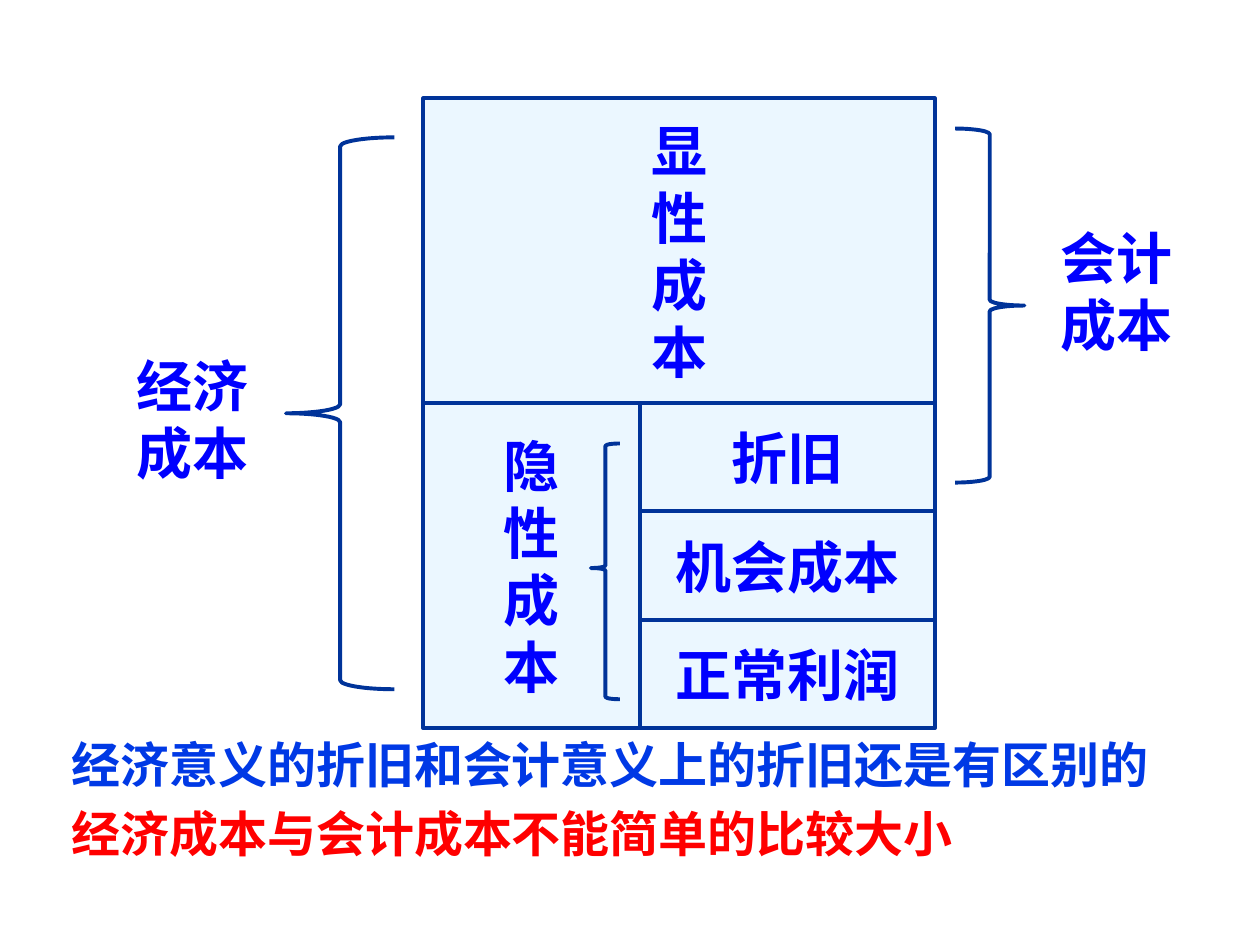
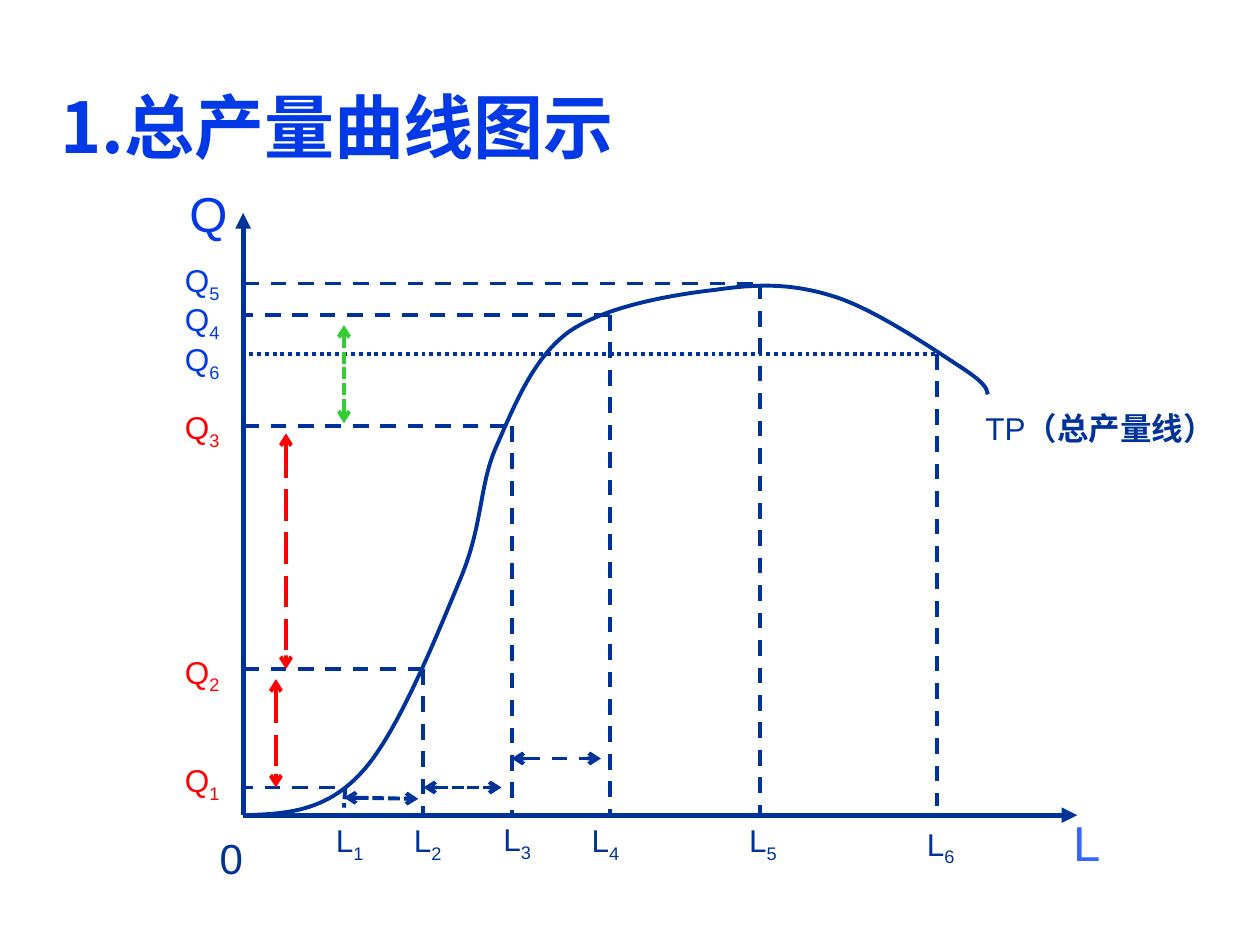
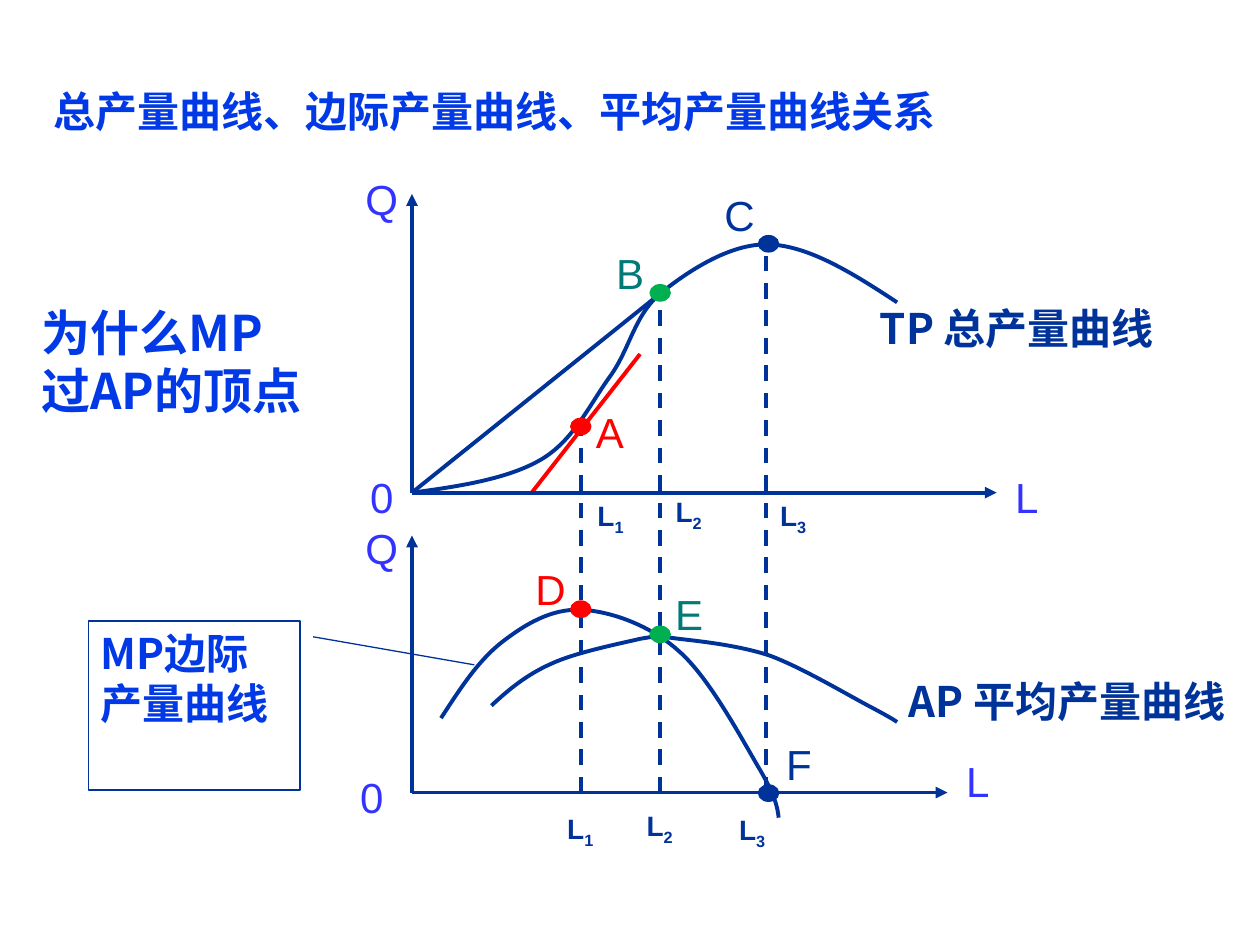
import pptx
import pptx.util
import pptx.dml.color
import pptx.enum.dml
import pptx.enum.shapes
import pptx.enum.text
import pptx.oxml.ns
import lxml.etree

Inches = pptx.util.Inches
Pt = pptx.util.Pt
SHAPES = pptx.enum.shapes.MSO_SHAPE
ALIGN = pptx.enum.text.PP_ALIGN
ANCHOR = pptx.enum.text.MSO_ANCHOR
DASHES = pptx.enum.dml.MSO_LINE

COLORS = {
    "navy": "003399", "text_blue": "0000FF", "title": "0039E5",
    "pale": "EBF7FF", "red": "FF0000", "green": "00B050",
    "arrow_green": "33CC33", "teal": "007A77", "axis_light": "3366FF",
    "axis_violet": "3333FF",
}
CJK = "Noto Sans CJK SC"
LATIN = "Arial"


# ---- Shared helpers ----
def rgb(name):
    return pptx.dml.color.RGBColor.from_string(COLORS[name])


def add_xml(parent, tag, **attributes):
    return lxml.etree.SubElement(parent, pptx.oxml.ns.qn(tag), attributes)


def write_text(shape, text, size=24, color="navy", font=LATIN, bold=False,
               align=ALIGN.CENTER, anchor=ANCHOR.MIDDLE, wrap=False):
    """Lines become paragraphs; what follows an underscore is a subscript."""
    frame = shape.text_frame
    frame.word_wrap = wrap
    frame.vertical_anchor = anchor
    if not wrap:
        frame.margin_left = frame.margin_right = 0
    for index, line in enumerate(text.split("\n")):
        para = frame.paragraphs[0] if index == 0 else frame.add_paragraph()
        para.alignment = align
        for part, words in enumerate(line.split("_")):
            span = add_span(para, words, size, color, font, bold)
            if part:
                span._r.get_or_add_rPr().set("baseline", "-25000")
    return frame


def add_span(para, words, size, color, font, bold):
    span = para.add_run()
    span.text = words
    span.font.size = Pt(size)
    span.font.bold = bold
    span.font.name = font
    span.font.color.rgb = rgb(color)
    add_xml(span._r.get_or_add_rPr(), "a:ea", typeface=CJK)
    return span


def add_text(page, text, left, top, width, height, **style):
    box = page.shapes.add_textbox(
        Inches(left), Inches(top), Inches(width), Inches(height))
    return write_text(box, text, **style)


def add_title(page, text, left, top, width, height, size):
    add_text(page, text, left, top, width, height, size=size, color="title",
             font=CJK, bold=True, align=ALIGN.LEFT, wrap=True)


def add_box(page, kind, left, top, width, height, fill=None, line="navy",
            weight=2.25, adjust=()):
    shape = page.shapes.add_shape(
        kind, Inches(left), Inches(top), Inches(width), Inches(height))
    shape.shadow.inherit = False
    if fill:
        shape.fill.solid()
        shape.fill.fore_color.rgb = rgb(fill)
    else:
        shape.fill.background()
    shape.line.color.rgb = rgb(line)
    shape.line.width = Pt(weight)
    for index, value in enumerate(adjust):
        shape.adjustments[index] = value
    return shape


def add_line(page, start, end, color="navy", weight=2.25, dash=None,
             head=None, tail=None):
    line = page.shapes.add_connector(
        pptx.enum.shapes.MSO_CONNECTOR.STRAIGHT,
        Inches(start[0]), Inches(start[1]), Inches(end[0]), Inches(end[1]))
    line.line.color.rgb = rgb(color)
    line.line.width = Pt(weight)
    if dash:
        line.line.dash_style = dash
    outline = line.line._get_or_add_ln()
    if head:
        add_xml(outline, "a:headEnd", type=head)
    if tail:
        add_xml(outline, "a:tailEnd", type=tail)
    add_xml(line._element.spPr, "a:effectLst")


def add_span_arrow(page, start, end, dash, color="navy"):
    add_line(page, start, end, color, dash=dash, head="arrow", tail="arrow")


def add_axes(page, origin, right, top, weight=2.25):
    for end in ((right, origin[1]), (origin[0], top)):
        add_line(page, origin, end, weight=weight, tail="triangle")


def add_curve(page, start, segments):
    """Draw joined cubic curves, each given as two controls and an end."""
    points = [(Inches(segment[i]), Inches(segment[i + 1]))
              for segment in segments for i in (0, 2, 4)]
    builder = page.shapes.build_freeform(Inches(start[0]), Inches(start[1]))
    builder.add_line_segments(points, close=False)
    curve = builder.convert_to_shape()
    curve.shadow.inherit = False
    curve.fill.background()
    curve.line.color.rgb = rgb("navy")
    curve.line.width = Pt(2.25)

    # Each three straight steps become one cubic step
    steps = list(curve._element.iter(pptx.oxml.ns.qn("a:lnTo")))
    outline = steps[0].getparent()
    for first in range(0, len(steps), 3):
        cubic = add_xml(outline, "a:cubicBezTo")
        for step in steps[first:first + 3]:
            cubic.append(step[0])
            outline.remove(step)


# ---- Slide 1: kinds of cost ----
def build_costs(page):
    style = dict(size=32, color="text_blue", font=CJK, bold=True, wrap=True)
    row = 0.86
    cells = [("显\n性\n成\n本", 3.36, 0.78, 4.06, 2.42),
             ("隐\n性\n成\n本", 3.36, 3.2, 1.72, 3 * row)]
    cells += [(name, 5.08, 3.2 + index * row, 2.34, row)
              for index, name in enumerate(("折旧", "机会成本", "正常利润"))]
    for name, *place in cells:
        write_text(add_box(page, SHAPES.RECTANGLE, *place, fill="pale"),
                   name, **style)

    # Braces and what they group
    add_box(page, SHAPES.LEFT_BRACE, 2.27, 1.09, 0.86, 4.38,
            adjust=(0.083, 0.5))
    add_box(page, SHAPES.RIGHT_BRACE, 7.58, 1.02, 0.55, 2.81,
            adjust=(0.083, 0.5))
    add_box(page, SHAPES.LEFT_BRACE, 4.69, 3.52, 0.23, 2.03, fill="pale",
            adjust=(0.083, 0.487))
    add_text(page, "经济成本", 0.86, 2.03, 1.33, 2.58, **style)
    add_text(page, "会计成本", 8.2, 1.41, 1.33, 1.8, **style)

    # Closing remarks
    remarks = add_text(
        page, "经济意义的折旧和会计意义上的折旧还是有区别的\n"
        "经济成本与会计成本不能简单的比较大小", 0.47, 5.78, 9.08, 1.09,
        size=28, color="title", font=CJK, bold=True, align=ALIGN.LEFT,
        anchor=ANCHOR.TOP, wrap=True)
    second = remarks.paragraphs[1]
    second.space_before = Pt(5.6)
    second.runs[0].font.color.rgb = rgb("red")


# ---- Slide 2: total product curve ----
def build_total_product(page):
    add_title(page, "1.总产量曲线图示", 0.38, 0.68, 5.48, 0.63, 40)
    add_axes(page, (1.93, 6.47), 8.55, 1.69, weight=3)
    add_text(page, "0", 1.56, 6.56, 0.55, 0.49)
    add_text(page, "L", 8.39, 6.47, 0.47, 0.42, size=28, color="axis_light")
    add_text(page, "Q", 1.38, 1.41, 0.55, 0.56, size=28, color="title")

    add_curve(page, (1.93, 6.47), [
        (2.25, 6.46, 2.58, 6.45, 2.87, 6.13),
        (3.16, 5.82, 3.48, 5.01, 3.66, 4.58),
        (3.84, 4.14, 3.8, 3.84, 3.95, 3.52),
        (4.09, 3.2, 4.24, 2.83, 4.52, 2.63),
        (4.81, 2.43, 5.33, 2.34, 5.68, 2.3),
        (6.02, 2.25, 6.29, 2.25, 6.61, 2.35),
        (6.94, 2.45, 7.42, 2.78, 7.62, 2.91),
        (7.82, 3.04, 7.83, 3.08, 7.84, 3.13)])
    name = add_text(page, "TP", 7.63, 3.09, 2.2, 0.61, size=18)
    add_span(name.paragraphs[0], "（总产量线）", 18, "navy", LATIN, True)

    # Guides from the curve to both axes
    for x, y, left, bottom in ((3.36, 5.31, 1.95, 6.49),
                               (4.06, 3.38, 1.93, 6.47),
                               (4.84, 2.5, 1.95, 6.49),
                               (6.03, 2.25, 1.93, 6.47)):
        ends = [(left, y), (x, y)]
        if left == 1.95:
            ends.reverse()
        add_line(page, *ends, dash=DASHES.DASH)
        add_line(page, (x, y), (x, bottom), dash=DASHES.DASH)
    add_line(page, (2.66, 6.25), (1.95, 6.25), dash=DASHES.DASH)
    add_line(page, (2.74, 6.25), (2.73, 6.41), dash=DASHES.SQUARE_DOT)
    add_line(page, (7.42, 2.81), (1.95, 2.81), dash=DASHES.ROUND_DOT)
    add_line(page, (7.44, 2.81), (7.44, 6.4), dash=DASHES.DASH)

    # Arrows that compare the increases
    add_span_arrow(page, (2.19, 5.39), (2.19, 6.25), DASHES.LONG_DASH, "red")
    add_span_arrow(page, (2.27, 3.44), (2.27, 5.31), DASHES.LONG_DASH, "red")
    add_span_arrow(page, (2.73, 3.36), (2.73, 2.58), DASHES.SQUARE_DOT,
                   "arrow_green")
    add_span_arrow(page, (2.73, 6.33), (3.32, 6.34), DASHES.SQUARE_DOT)
    add_span_arrow(page, (3.36, 6.25), (3.98, 6.25), DASHES.SQUARE_DOT)
    add_span_arrow(page, (4.06, 6.02), (4.77, 6.02), DASHES.DASH)

    # Axis marks
    quantities = [(1, 5.86, 0.7, "red"), (2, 5, 0.7, "red"),
                  (3, 3.2, 0.42, "red"), (4, 2.34, 0.42, "title"),
                  (5, 2.03, 0.42, "title"), (6, 2.66, 0.42, "title")]
    for number, top, height, color in quantities:
        add_text(page, f"Q_{number}", 1.33, top, 0.55, height, size=18,
                 color=color)
    labors = [(2.58, 6.41, 0.55), (3.2, 6.41, 0.55), (3.91, 6.48, 0.4),
              (4.61, 6.41, 0.55), (5.86, 6.41, 0.55), (7.27, 6.48, 0.47)]
    for number, (left, top, height) in enumerate(labors, 1):
        add_text(page, f"L_{number}", left, top, 0.39, height, size=18)


# ---- Slide 3: total, marginal and average product ----
def build_relations(page):
    heading = dict(font=CJK, bold=True)
    add_title(page, "总产量曲线、边际产量曲线、平均产量曲线关系",
              0.33, 0.52, 9.34, 0.71, 24)
    add_text(page, "为什么MP\n过AP的顶点", 0.33, 1.8, 2.4, 2.13, size=28,
             color="title", align=ALIGN.LEFT, **heading)
    callout = add_box(page, SHAPES.LINE_CALLOUT_1, 0.7, 4.93, 1.68, 1.34,
                      weight=0.75, adjust=(0.093, 1.063, 0.259, 1.824))
    write_text(callout, "MP边际产量曲线", color="title", align=ALIGN.LEFT,
               anchor=ANCHOR.TOP, wrap=True, **heading)

    # Axes, tangent and ray
    origin = (3.27, 3.91)
    add_line(page, (4.22, 3.91), (5.08, 2.81), "red")
    add_axes(page, origin, 7.91, 1.54)
    add_axes(page, (3.27, 6.29), 7.52, 4.25)
    add_line(page, origin, (5.24, 2.33))

    # Marginal, average and total product
    add_curve(page, (3.5, 5.7), [
        (3.65, 5.47, 3.79, 5.25, 3.98, 5.1),
        (4.16, 4.96, 4.37, 4.83, 4.61, 4.84),
        (4.84, 4.85, 5.16, 4.96, 5.39, 5.17),
        (5.63, 5.38, 5.89, 5.87, 6.02, 6.09),
        (6.15, 6.31, 6.17, 6.4, 6.18, 6.49)])
    add_curve(page, (3.9, 5.6), [
        (4.03, 5.48, 4.17, 5.36, 4.37, 5.27),
        (4.56, 5.18, 4.91, 5.11, 5.08, 5.07),
        (5.25, 5.04, 5.22, 5.05, 5.39, 5.07),
        (5.56, 5.09, 5.85, 5.12, 6.1, 5.2),
        (6.35, 5.29, 6.72, 5.51, 6.89, 5.6),
        (7.06, 5.69, 7.09, 5.71, 7.12, 5.73)])
    add_curve(page, origin, [
        (3.65, 3.86, 4.03, 3.8, 4.29, 3.65),
        (4.55, 3.5, 4.68, 3.21, 4.84, 2.99),
        (5, 2.77, 5.03, 2.51, 5.24, 2.33),
        (5.45, 2.16, 5.79, 1.93, 6.1, 1.94),
        (6.42, 1.95, 6.77, 2.17, 7.12, 2.4)])
    add_text(page, "TP 总产量曲线", 6.77, 2.4, 2.6, 0.4, **heading)
    add_text(page, "AP 平均产量曲线", 6.97, 5.3, 3, 0.53, **heading)

    # Guides and the points on them
    for x, top in ((4.61, 3.39), (5.24, 2.33), (6.08, 1.93)):
        add_line(page, (x, 6.29), (x, top), dash=DASHES.DASH)
    for left, color, tops in ((4.53, "red", (3.32, 4.77)),
                              (5.16, "green", (2.26, 4.97)),
                              (6.02, "navy", (1.87, 6.23))):
        for top in tops:
            add_box(page, SHAPES.OVAL, left, top, 0.16, 0.13, fill=color,
                    line=color, weight=0.75)

    # Letters for points and axes
    letters = [("A", 4.68, 3.26, "red"), ("B", 4.84, 2, "teal"),
               ("C", 5.71, 1.54, "navy"), ("D", 4.21, 4.51, "red"),
               ("F", 6.18, 5.9, "navy"), ("E", 5.31, 4.71, "teal")]
    letters += [(name, left, top, "axis_violet") for name, left, top in (
        ("0", 2.87, 3.78), ("Q", 2.87, 1.41), ("L", 7.99, 3.78),
        ("Q", 2.87, 4.18), ("0", 2.79, 6.16), ("L", 7.6, 6.03))]
    for name, left, top, color in letters:
        add_text(page, name, left, top, 0.32, 0.33, color=color)

    # Labor marks under both axes
    for top, marks in (
            (3.91, ((4.69, 0.31), (5.31, 0.31), (6.02, 0.55))),
            (6.4, ((4.45, 0.31), (5.08, 0.31), (5.78, 0.38)))):
        for number, (left, width) in enumerate(marks, 1):
            height = (0.39, 0.33, 0.4)[number - 1]
            add_text(page, f"L_{number}", left, top, width, height, size=16,
                     bold=True)


def main():
    deck = pptx.Presentation()
    deck.slide_width = Inches(10)
    deck.slide_height = Inches(7.5)
    for build in (build_costs, build_total_product, build_relations):
        build(deck.slides.add_slide(deck.slide_layouts[6]))
    deck.save("out.pptx")


if __name__ == "__main__":
    main()
